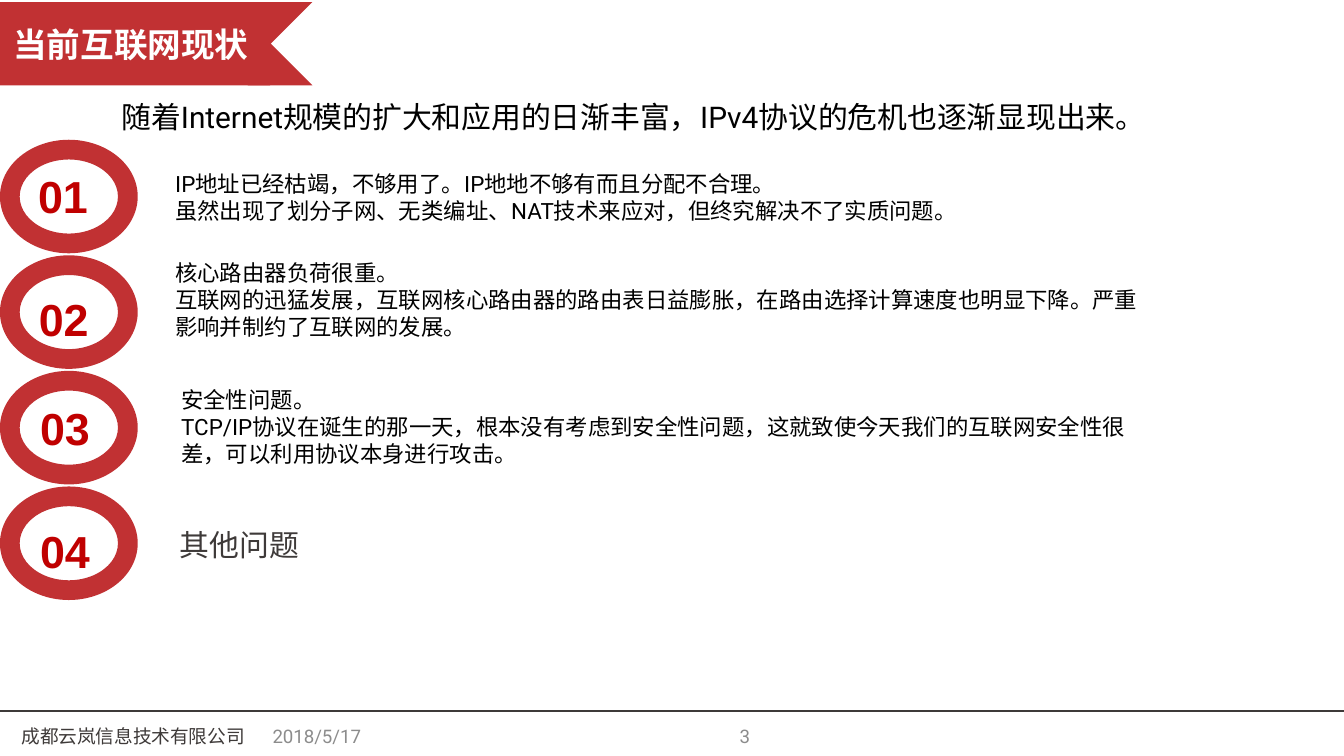
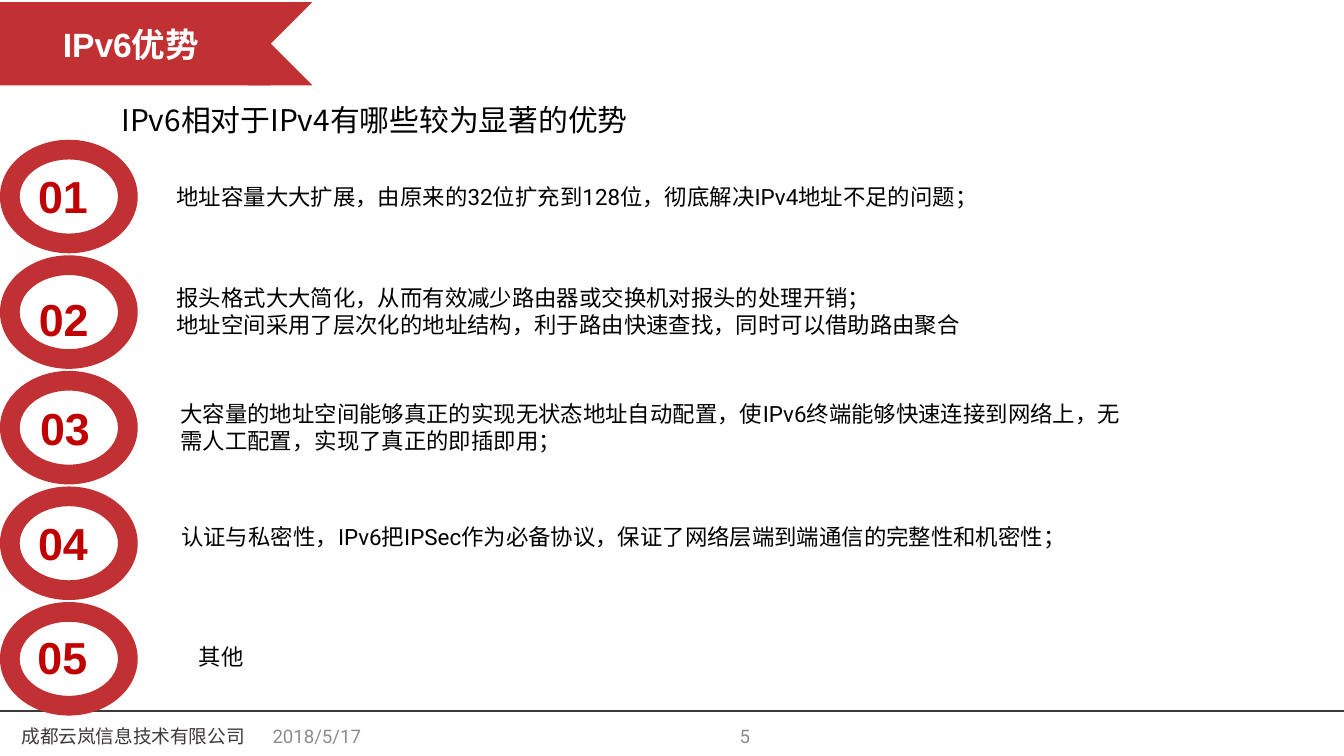
from dataclasses import dataclass

from lxml import etree
from pptx import Presentation
from pptx.dml.color import RGBColor
from pptx.enum.shapes import MSO_CONNECTOR, MSO_SHAPE
from pptx.enum.text import MSO_ANCHOR, MSO_AUTO_SIZE, PP_ALIGN
from pptx.oxml.ns import qn
from pptx.util import Emu, Pt

EMU_PER_PX = 4572  # 200 px to the inch
SLIDE_W, SLIDE_H = 2000, 1125

RED = RGBColor(0xC1, 0x31, 0x33)
NUMBER_RED = RGBColor(0xC0, 0x00, 0x00)
BLACK = RGBColor(0x00, 0x00, 0x00)
WHITE = RGBColor(0xFF, 0xFF, 0xFF)
DARK = RGBColor(0x3E, 0x3A, 0x39)
GRAY = RGBColor(0x8C, 0x8C, 0x8C)

ARIAL, ROBOTO, NOTO = "Arial", "Roboto", "Noto Sans CJK SC"

LEFT, CENTER, RIGHT = PP_ALIGN.LEFT, PP_ALIGN.CENTER, PP_ALIGN.RIGHT
TOP, MIDDLE = MSO_ANCHOR.TOP, MSO_ANCHOR.MIDDLE
NO_FIT, GROW = MSO_AUTO_SIZE.NONE, MSO_AUTO_SIZE.SHAPE_TO_FIT_TEXT
CHEVRON, DONUT = MSO_SHAPE.CHEVRON, MSO_SHAPE.DONUT
STRAIGHT = MSO_CONNECTOR.STRAIGHT

TITLE_ONLY = 5
BANNER = (0, 3, 465, 124)
FOOTER = (0, 1058, SLIDE_W, 67)
RING_W, RING_H, RING_BAND = 205, 169, 0.174
ROWS_TOP, ROW_PITCH = 208, 172

COMPANY = "成都云岚信息技术有限公司"
DATE = "2018/5/17"


@dataclass
class Item:
    """A numbered row; both places are relative to the row's top left."""
    number_at: tuple
    text_box: tuple
    paragraphs: list
    size: int = 12
    color: RGBColor = BLACK


@dataclass
class Page:
    title: str
    number: str
    intro_top: int
    intro: list
    items: list


PAGES = [
    Page("当前互联网现状", "3", 137,
         [("随着", NOTO), ("Internet", ROBOTO),
          ("规模的扩大和应用的日渐丰富，", NOTO), ("IPv4", ROBOTO),
          ("协议的危机也逐渐显现出来。", NOTO)],
         [Item((37, 34), (241, 36, 1336, 142), [
             [("IP地址已经枯竭，不够用了。IP地地不够有而且分配不合理。", ROBOTO)],
             [("虽然出现了划分子网、无类编址、NAT技术来应对，"
               "但终究解决不了实质问题。", ROBOTO)]]),
          Item((38, 44), (241, -4, 1482, 182), [
              [("核心路由器负荷很重。", ROBOTO)],
              [("互联网的迅猛发展，互联网核心路由器的路由表日益膨胀，"
                "在路由选择计算速度也明显下降。"
                "严重影响并制约了互联网的发展。", ROBOTO)]]),
          Item((40, 34), (250, 13, 1448, 142), [
              [("安全性问题。", ROBOTO)],
              [("TCP/IP协议在诞生的那一天，根本没有考虑到安全性问题，"
                "这就致使今天我们的互联网安全性很差，"
                "可以利用协议本身进行攻击。", ROBOTO)]]),
          Item((40, 46), (248, 50, 534, 74),
               [[("其他问题", ROBOTO)]], 16, DARK)]),
    Page("IPv6优势", "5", 142,
         [("IPv6相对于IPv4有哪些较为显著的优势", NOTO)],
         [Item((37, 34), (243, 55, 1336, 60), [
             [("地址容量大大扩展，由原来的32位扩充到128位，"
               "彻底解决IPv4地址不足的问题；", ROBOTO)]]),
          Item((38, 44), (243, 33, 1482, 100), [
              [("报头格式大大简化，从而有效减少路由器或交换机"
                "对报头的处理开销；", ROBOTO)],
              [("地址空间采用了层次化的地址结构，利于路由快速查找，"
                "同时可以借助路由聚合", NOTO)]]),
          Item((40, 34), (249, 34, 1448, 100), [
              [("大容量的地址空间能够真正的实现无状态地址自动配置，"
                "使IPv6终端能够快速连接到网络上，"
                "无需人工配置，实现了真正的即插即用；", ROBOTO)]]),
          Item((37, 34), (250, 45, 1396, 60), [
              [("认证与私密性，IPv6把IPSec作为必备协议，"
                "保证了网络层端到端通信的完整性和机密性；", ROBOTO)]]),
          Item((36, 31), (276, 52, 1396, 60), [[("其他", ROBOTO)]])]),
]


def px(n):
    return Emu(n * EMU_PER_PX)


def add_run(p, text, font, size, color, bold=False):
    r = p.add_run()
    r.text = text
    r.font.name = font
    r.font.size = Pt(size)
    r.font.bold = bold
    r.font.color.rgb = color
    ea = etree.SubElement(r.font._element, qn("a:ea"))
    ea.set("typeface", NOTO)


def add_text(slide, box, paragraphs, size, color, bold=False,
             align=LEFT, anchor=TOP, fit=GROW):
    """Add a text box; each paragraph is a list of (text, font) runs."""
    tf = slide.shapes.add_textbox(*map(px, box)).text_frame
    tf.word_wrap = True
    tf.auto_size = fit
    tf.vertical_anchor = anchor
    for i, runs in enumerate(paragraphs):
        p = tf.add_paragraph() if i else tf.paragraphs[0]
        p.alignment = align
        for text, font in runs:
            add_run(p, text, font, size, color, bold)


def add_red_shape(slide, kind, box):
    sp = slide.shapes.add_shape(kind, *map(px, box))
    sp.shadow.inherit = False
    sp.fill.solid()
    sp.fill.fore_color.rgb = RED
    sp.line.fill.background()
    return sp


def add_banner(slide, box, title):
    """Title on a red ribbon whose right end is notched by a chevron."""
    x, y, w, h = box
    tail = add_red_shape(slide, CHEVRON, (x + w - 158, y, 158, h))
    tail.element.spPr.find(qn("a:xfrm")).set("flipH", "1")

    sp = slide.shapes.title
    sp.left, sp.top, sp.width, sp.height = map(px, (x, y, w - 63, h))
    sp.fill.solid()
    sp.fill.fore_color.rgb = RED
    tail.element.addnext(sp.element)  # keep the title above the chevron
    tf = sp.text_frame
    tf.word_wrap = True
    tf.auto_size = NO_FIT
    tf.vertical_anchor = MIDDLE
    tf.margin_left, tf.margin_right = px(13), px(25)
    tf.margin_top = tf.margin_bottom = px(32)
    p = tf.paragraphs[0]
    p.alignment = CENTER
    add_run(p, title, ARIAL, 18, WHITE, bold=True)


def add_footer(slide, box, number):
    x, y, w, _ = box
    rule = slide.shapes.add_connector(STRAIGHT, px(x), px(y), px(x + w), px(y))
    rule.line.color.rgb = DARK
    rule.line.width = Pt(0.75)
    etree.SubElement(rule.element.spPr, qn("a:effectLst"))
    for dx, width, text, color, align in (
            (386, 466, DATE, GRAY, LEFT),
            (-165, 726, COMPANY, DARK, CENTER),
            (670, 466, number, GRAY, RIGHT)):
        add_text(slide, (x + dx, y + 8, width, 60), [[(text, ROBOTO)]], 10,
                 color, align=align, anchor=MIDDLE, fit=NO_FIT)


def add_item(slide, x, y, label, item):
    ring = add_red_shape(slide, DONUT, (x, y, RING_W, RING_H))
    ring.adjustments[0] = RING_BAND
    dx, dy = item.number_at
    add_text(slide, (x + dx, y + dy, 182, 100), [[(label, ARIAL)]], 24,
             NUMBER_RED, bold=True)
    dx, dy, w, h = item.text_box
    add_text(slide, (x + dx, y + dy, w, h), item.paragraphs, item.size,
             item.color)


def add_page(prs, page):
    slide = prs.slides.add_slide(prs.slide_layouts[TITLE_ONLY])
    add_footer(slide, FOOTER, page.number)
    add_banner(slide, BANNER, page.title)
    add_text(slide, (161, page.intro_top, 1626, 74), [page.intro], 16, BLACK)
    for i, item in enumerate(page.items):
        add_item(slide, 0, ROWS_TOP + i * ROW_PITCH, f"{i + 1:02}", item)


def main():
    prs = Presentation()
    prs.slide_width, prs.slide_height = px(SLIDE_W), px(SLIDE_H)
    for page in PAGES:
        add_page(prs, page)
    prs.save("out.pptx")


if __name__ == "__main__":
    main()
